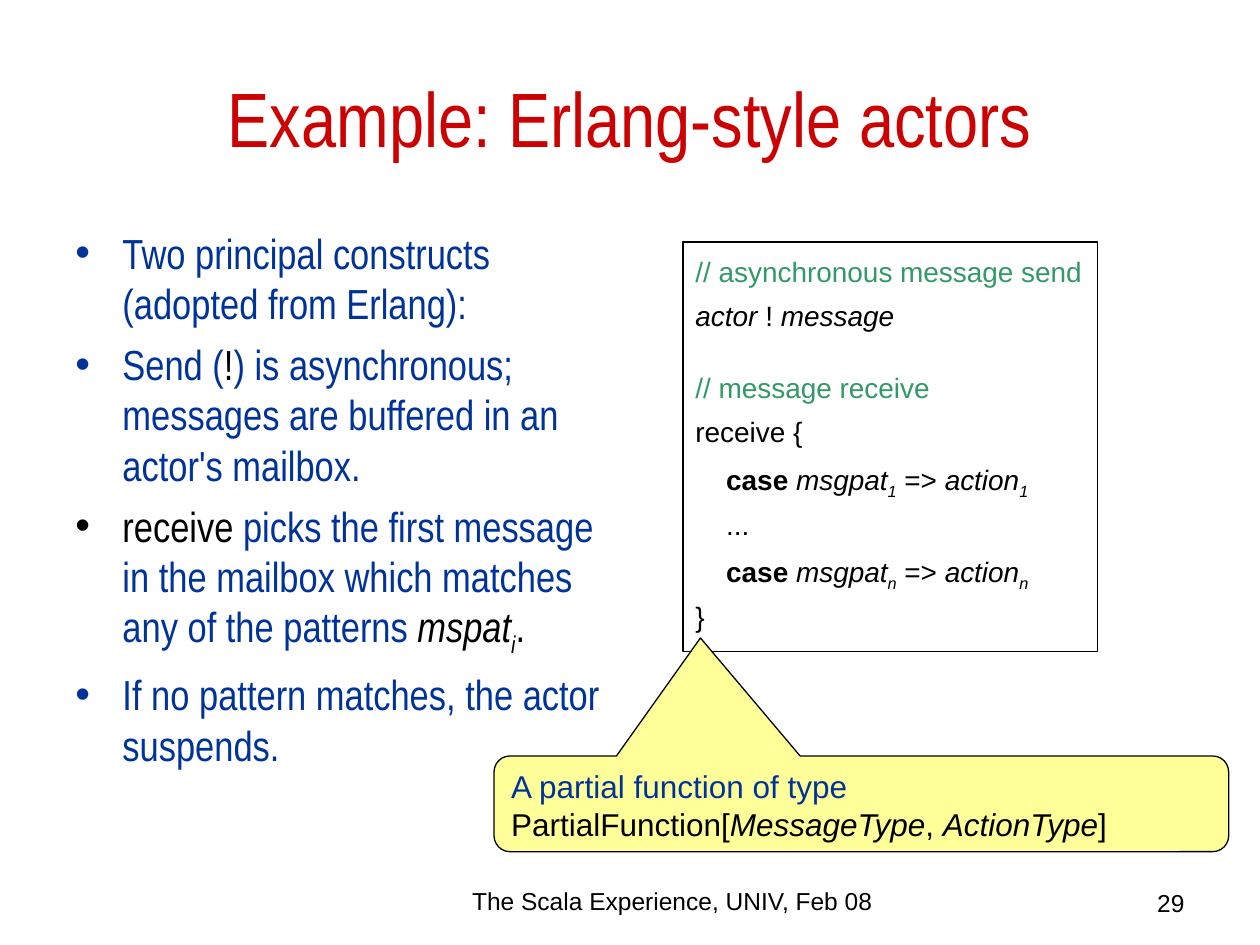
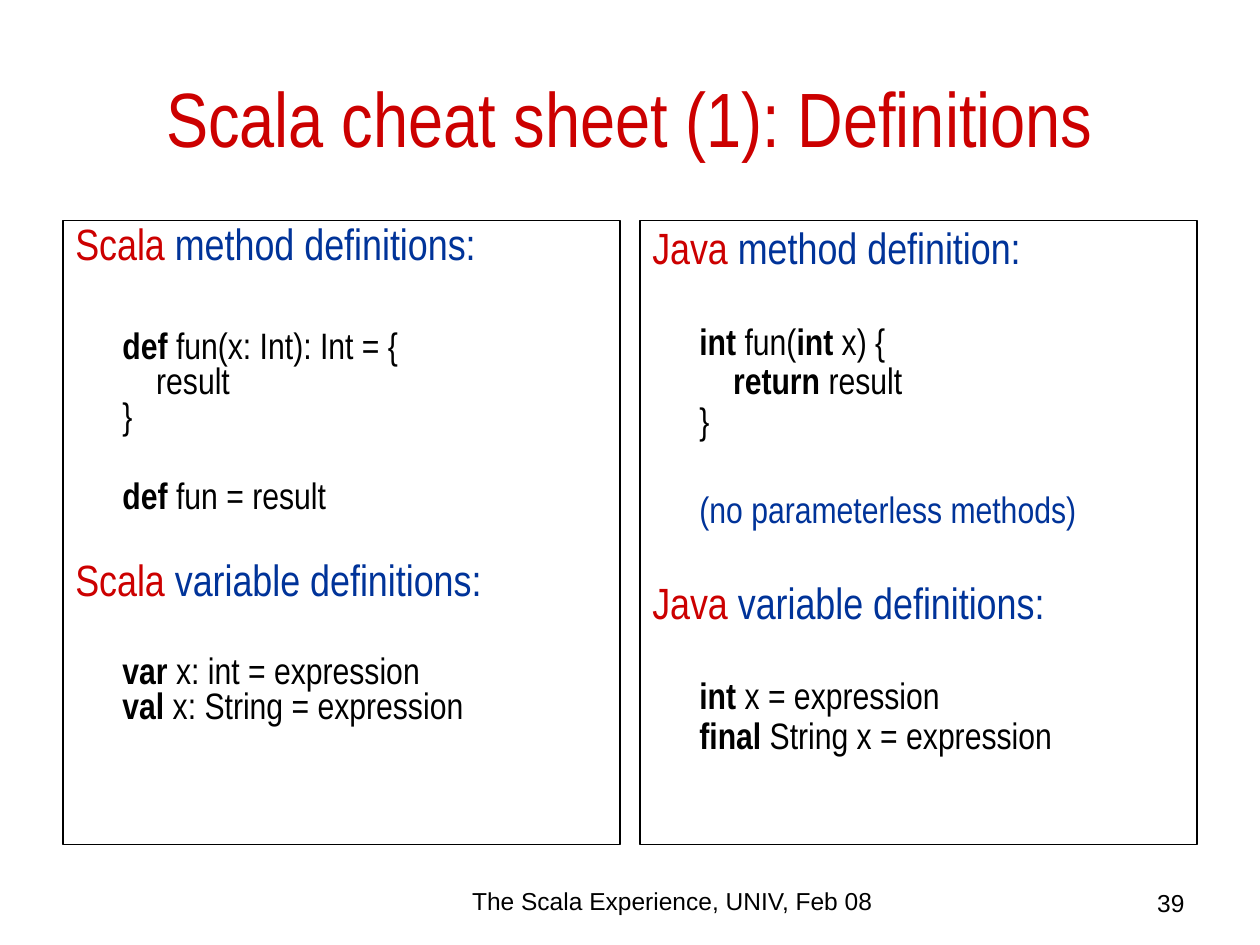
from dataclasses import dataclass
from typing import NamedTuple

from lxml.etree import SubElement
from pptx import Presentation
from pptx.dml.color import RGBColor
from pptx.enum.shapes import MSO_SHAPE
from pptx.enum.text import MSO_ANCHOR, MSO_AUTO_SIZE, PP_ALIGN
from pptx.oxml.ns import qn
from pptx.util import Cm, Pt

RED, BLUE, GREEN = "CC0000", "003399", "339966"
BLACK, YELLOW = "000000", "FFFF99"
SANS, NARROW = "Arial", "Arial Narrow"
HANG = 0.95  # hanging indent in cm
FOOTER = "The Scala Experience, UNIV, Feb 08"


class Box(NamedTuple):
    left: float
    top: float
    width: float
    height: float


class Bit(NamedTuple):
    text: str
    hue: str = ""  # empty: the colour of the line
    bold: bool = False
    ital: bool = False
    sub: bool = False


@dataclass
class Line:
    bits: list[Bit]
    hue: str = BLACK
    size: float = 16
    gap: float = 0  # points before
    left: float = 0  # indent in cm
    dot: bool = False
    align: PP_ALIGN = PP_ALIGN.LEFT


@dataclass
class Style:
    face: str = NARROW
    pitch: float = 1.0
    pad: float = 0.13  # top and bottom inset in cm
    anchor: MSO_ANCHOR = MSO_ANCHOR.TOP


TITLE = Box(1.27, 0.76, 22.86, 3.18)
LEFT = Box(1.27, 4.45, 11.23, 12.57)
RIGHT = LEFT._replace(left=12.9)
CODE = Box(13.77, 4.88, 8.36, 8.26)
NOTE = Box(9.96, 15.24, 14.81, 1.93)
FOOT = Box(7.42, 17.73, 12.27, 0.69)
PAGE = Box(18.21, 17.78, 5.92, 0.64)


def color(code: str) -> RGBColor:
    return RGBColor.from_string(code)


def bold(text: str) -> Bit:
    return Bit(text, bold=True)


def ital(text: str, hue: str = "") -> Bit:
    return Bit(text, hue, ital=True)


def sub(text: str, hue: str = "") -> Bit:
    return Bit(text, hue, ital=True, sub=True)


def span(box: Box) -> list[Cm]:
    return [Cm(side) for side in box]


def add_dot(para, hue: str) -> None:
    props = para._p.get_or_add_pPr()
    props.set("marL", str(Cm(HANG)))
    props.set("indent", str(-Cm(HANG)))
    tint = SubElement(props, qn("a:buClr"))
    SubElement(tint, qn("a:srgbClr")).set("val", hue)
    SubElement(props, qn("a:buFont")).set("typeface", SANS)
    SubElement(props, qn("a:buChar")).set("char", "•")


def write(shape, lines: list[Line], style: Style) -> None:
    frame = shape.text_frame
    frame.word_wrap = True
    frame.auto_size = MSO_AUTO_SIZE.NONE
    frame.vertical_anchor = style.anchor
    frame.margin_left = frame.margin_right = Cm(0.25)
    frame.margin_top = frame.margin_bottom = Cm(style.pad)
    for place, line in enumerate(lines):
        para = frame.add_paragraph() if place else frame.paragraphs[0]
        para.alignment = line.align
        para.line_spacing = style.pitch
        para.space_before = Pt(line.gap)
        if line.dot:
            add_dot(para, line.bits[0].hue or line.hue)
        elif line.left:
            para._p.get_or_add_pPr().set("marL", str(Cm(line.left)))
        para.font.name = style.face
        para.font.size = Pt(line.size)
        para.font.color.rgb = color(line.hue)
        for bit in line.bits:
            run = para.add_run()
            run.text = bit.text
            if bit.hue:
                run.font.color.rgb = color(bit.hue)
            if bit.bold:
                run.font.bold = True
            if bit.ital:
                run.font.italic = True
            if bit.sub:
                run._r.get_or_add_rPr().set("baseline", "-25000")


def outline(shape) -> None:
    shape.line.color.rgb = color(BLACK)
    shape.line.width = Pt(0.75)


def add_text(slide, box: Box, lines: list[Line], style: Style, framed: bool = False) -> None:
    shape = slide.shapes.add_textbox(*span(box))
    write(shape, lines, style)
    if framed:
        outline(shape)


def add_note(slide, box: Box, lines: list[Line]) -> None:
    shape = slide.shapes.add_shape(MSO_SHAPE.ROUNDED_RECTANGULAR_CALLOUT, *span(box))
    for place, value in enumerate((-0.219, -1.733, 0.167)):
        shape.adjustments[place] = value
    shape.shadow.inherit = False
    shape.fill.solid()
    shape.fill.fore_color.rgb = color(YELLOW)
    outline(shape)
    write(shape, lines, Style(SANS))


def add_slide(deck, title: str, page: int):
    """Add a slide with its title, footer and page number."""
    slide = deck.slides.add_slide(deck.slide_layouts[5])
    head = slide.shapes.title
    head.left, head.top, head.width, head.height = span(TITLE)
    write(head, [Line([Bit(title)], RED, 44, align=PP_ALIGN.CENTER)],
          Style(anchor=MSO_ANCHOR.MIDDLE))
    for box, text, align in ((FOOT, FOOTER, PP_ALIGN.CENTER),
                             (PAGE, str(page), PP_ALIGN.RIGHT)):
        add_text(slide, box, [Line([Bit(text)], size=14, align=align)], Style(SANS))
    return slide


def point(*bits: Bit) -> Line:
    return Line(list(bits), BLUE, 24, 6, dot=True)


def code(*bits: Bit, hue: str = BLACK, gap: float = 10, left: float = 0) -> Line:
    return Line(list(bits), hue, 16, gap, left)


def case(mark: str) -> Line:
    return code(bold("case "), ital("msgpat"), sub(mark), Bit(" => "),
                ital("action"), sub(mark), left=0.62)


def topic(lang: str, rest: str, gap: float = 6.2) -> Line:
    return Line([Bit(lang + " ", RED), Bit(rest)], BLUE, 25, gap)


def sample(*bits: Bit, gap: float = 0, deep: bool = False, hue: str = BLACK) -> Line:
    return Line(list(bits), hue, 21, gap, HANG + (0.68 if deep else 0))


def actors(deck) -> None:
    slide = add_slide(deck, "Example: Erlang-style actors", 29)
    # Main points
    add_text(slide, LEFT, [
        point(Bit("Two principal constructs (adopted from Erlang):")),
        point(Bit("Send ("), Bit("!", BLACK),
              Bit(") is asynchronous; messages are buffered in an actor's mailbox.")),
        point(Bit("receive", BLACK),
              Bit(" picks the first message in the mailbox which matches any of the patterns "),
              ital("mspat", BLACK), sub("i", BLACK), Bit(".", BLACK)),
        point(Bit("If no pattern matches, the actor suspends.")),
    ], Style())
    # Code panel
    add_text(slide, CODE, [
        code(Bit("// asynchronous message send"), hue=GREEN),
        code(ital("actor"), Bit(" ! "), ital("message")),
        code(Bit("// message receive"), hue=GREEN, gap=25.5),
        code(Bit("receive {")),
        case("1"),
        code(Bit("..."), left=0.62),
        case("n"),
        code(Bit("}")),
    ], Style(SANS, 0.8, 0.38), framed=True)
    # Callout
    add_note(slide, NOTE, [
        Line([Bit("A partial function of type")], BLUE, 18),
        Line([Bit("PartialFunction["), ital("MessageType"), Bit(", "),
              ital("ActionType"), Bit("]")], size=18),
    ])


def cheats(deck) -> None:
    slide = add_slide(deck, "Scala cheat sheet (1): Definitions", 39)
    # Scala panel
    add_text(slide, LEFT, [
        topic("Scala", "method definitions:"),
        sample(bold("def"), Bit(" fun(x: Int): Int = {"), gap=35.4),
        sample(Bit("result"), deep=True),
        sample(Bit("}")),
        sample(bold("def"), Bit(" fun = result"), gap=25.5),
        topic("Scala", "variable definitions:", 26.5),
        sample(bold("var"), Bit(" x: int = expression"), gap=29.3),
        sample(bold("val"), Bit(" x: String = expression")),
    ], Style(pitch=0.8), framed=True)
    # Java panel
    add_text(slide, RIGHT, [
        topic("Java", "method definition:"),
        sample(bold("int"), Bit(" fun("), bold("int"), Bit(" x) {"), gap=28),
        sample(bold("return"), Bit(" result"), deep=True),
        sample(Bit("}")),
        sample(Bit("(no parameterless methods)"), gap=28, hue=BLUE),
        topic("Java", "variable definitions:", 29),
        sample(bold("int"), Bit(" x = expression"), gap=28),
        sample(bold("final"), Bit(" String x = expression")),
    ], Style(pitch=0.9), framed=True)


def main() -> None:
    deck = Presentation()
    deck.slide_width, deck.slide_height = Cm(25.4), Cm(19.05)
    actors(deck)
    cheats(deck)
    deck.save("out.pptx")


if __name__ == "__main__":
    main()
